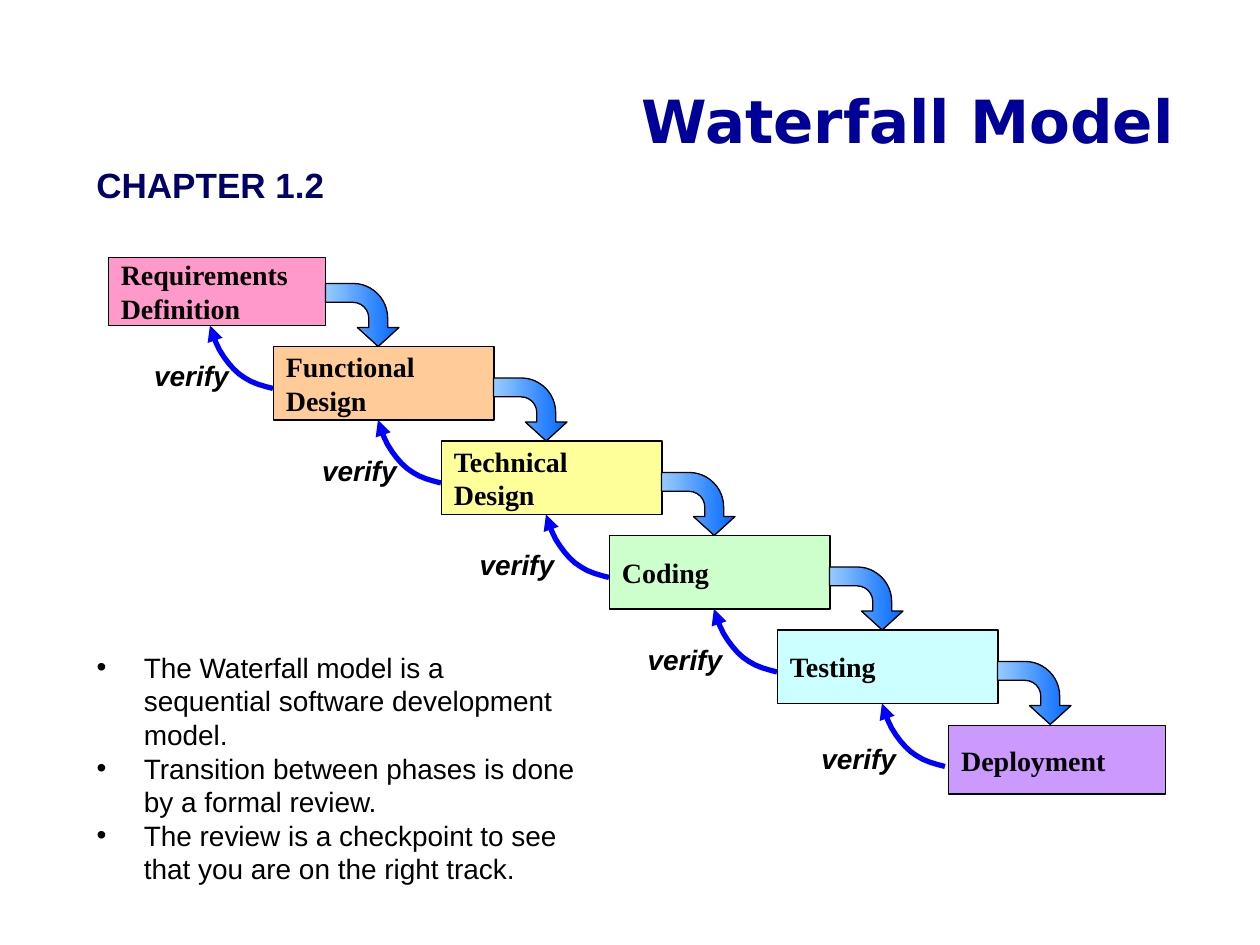
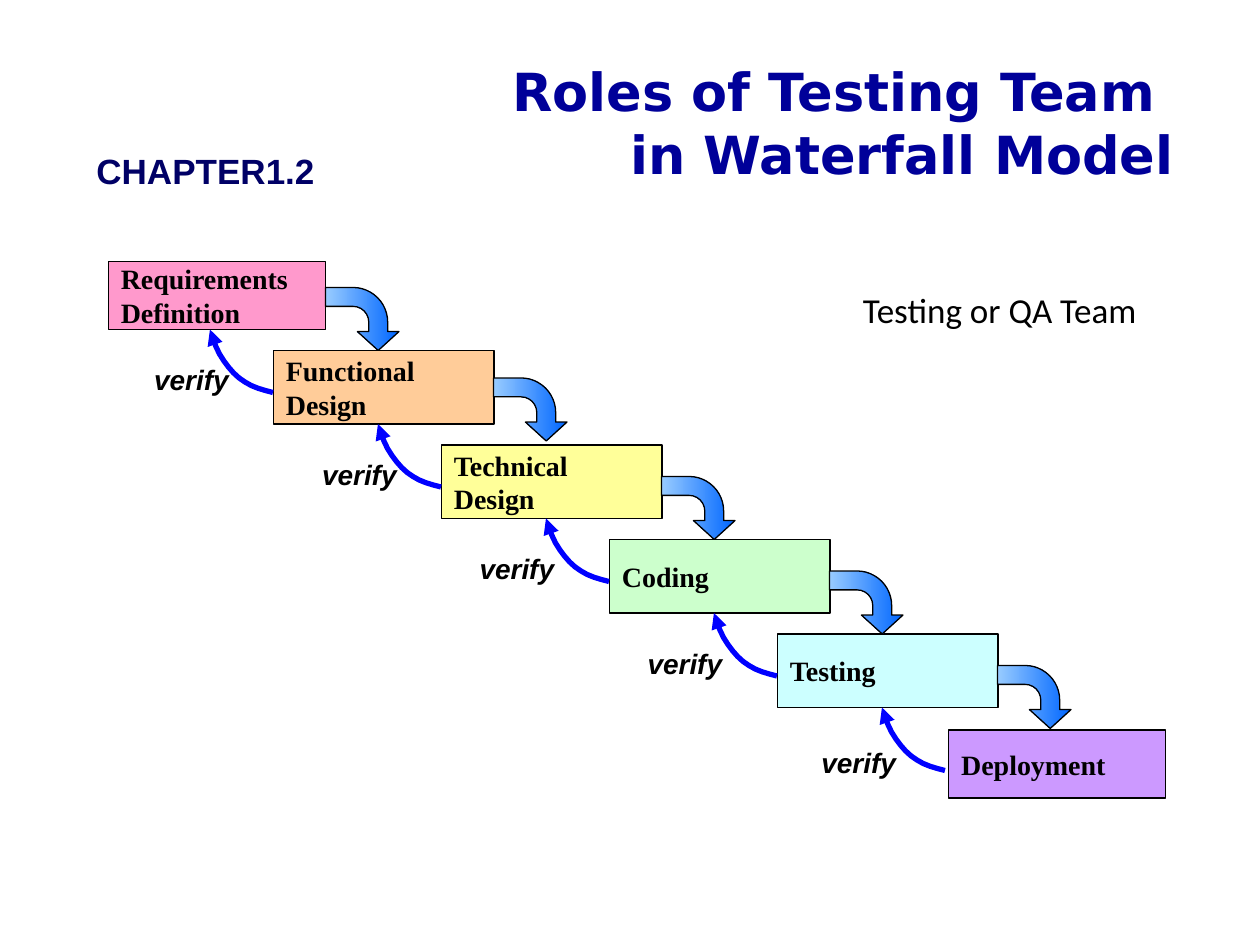
from pptx import Presentation
from pptx.dml.color import RGBColor
from pptx.enum import shapes, text
from pptx.oxml import ns
from pptx.util import Pt
from lxml import etree

BLACK = RGBColor(0x00, 0x00, 0x00)
TITLE_BLUE = RGBColor(0x00, 0x00, 0x99)
CHAPTER_BLUE = RGBColor(0x00, 0x00, 0x66)
VERIFY_BLUE = RGBColor(0x00, 0x00, 0xFF)
ARROW_DARK = RGBColor(0x00, 0x66, 0xFF)
ARROW_LIGHT = RGBColor(0x99, 0xCC, 0xFF)

STEP_X, STEP_Y = 96, 54
# name, fill, then left, top, width and height within the diagram
PHASES = [("Requirements Definition", RGBColor(0xFF, 0x99, 0xCC), 0, 0, 124, 39)]
PHASES += [
    (name, fill, 94.3 + STEP_X * i, 51 + STEP_Y * i, 126, 42)
    for i, (name, fill) in enumerate([
        ("Functional Design", RGBColor(0xFF, 0xCC, 0x99)),
        ("Technical Design", RGBColor(0xFF, 0xFF, 0x99)),
        ("Coding", RGBColor(0xCC, 0xFF, 0xCC)),
        ("Testing", RGBColor(0xCC, 0xFF, 0xFF)),
    ])
]
PHASES.append(("Deployment", RGBColor(0xCC, 0x99, 0xFF), 480.2, 267.8, 124, 39))
VERIFY_LABELS = [(19, 54.5), (115, 108.5), (205, 162.5), (301, 216.5), (400.3, 273)]

# Cubic Bézier pieces of the verify arc, from the later phase back to the earlier one
VERIFY_CURVE = [
    [(36, 36), (30.2, 34.6), (24.5, 33), (20, 30)],
    [(20, 30), (15.2, 27.2), (11.5, 23), (8, 18)],
    [(8, 18), (4.3, 13), (2, 6.5), (0, 0)],
]
WATERFALL_POINTS = [
    "The Waterfall model is a sequential software development model.",
    "Transition between phases is done by a formal review.",
    "The review is a checkpoint to see that you are on the right track.",
]


def place(shape, left, top, width, height):
    shape.left, shape.top = Pt(left), Pt(top)
    shape.width, shape.height = Pt(width), Pt(height)


def write(shape, content, size, font_name, color=BLACK, bold=False, italic=False,
          align=text.PP_ALIGN.LEFT, anchor=text.MSO_ANCHOR.TOP, wrap=True):
    """Fill a shape with text, one paragraph a line, and format all its runs."""
    frame = shape.text_frame
    frame.text = content
    frame.word_wrap = wrap
    frame.auto_size = text.MSO_AUTO_SIZE.NONE
    frame.vertical_anchor = anchor
    for paragraph in frame.paragraphs:
        paragraph.alignment = align
        paragraph.space_before = Pt(0)
        for run in paragraph.runs:
            font = run.font
            font.size, font.name = Pt(size), font_name
            font.bold, font.italic = bold, italic
            font.color.rgb = color


def add_label(slide, box, content, size, font_name, **style):
    label = slide.shapes.add_textbox(*(Pt(length) for length in box))
    write(label, content, size, font_name, **style)


def add_title(slide, box, content, size):
    title = slide.shapes.title
    place(title, *box)
    write(title, content, size, "DejaVu Sans", TITLE_BLUE, bold=True,
          align=text.PP_ALIGN.RIGHT)


def add_chapter(slide, box, content):
    add_label(slide, box, content, 20, "Arial", color=CHAPTER_BLUE, bold=True)


def outline(shape, color, width):
    shape.shadow.inherit = False
    shape.line.color.rgb = color
    shape.line.width = Pt(width)


def add_phase(slide, box, name, fill):
    phase = slide.shapes.add_shape(
        shapes.MSO_SHAPE.RECTANGLE, *(Pt(length) for length in box))
    phase.fill.solid()
    phase.fill.fore_color.rgb = fill
    outline(phase, BLACK, 0.75)
    write(phase, name, 16, "Times New Roman", bold=True, anchor=text.MSO_ANCHOR.MIDDLE)


def add_next_arrow(slide, left, top, width=42, height=36):
    """Draw a bent arrow that goes right and then down inside its box."""
    inset = (width - height) / 2
    arrow = slide.shapes.add_shape(
        shapes.MSO_SHAPE.BENT_ARROW,
        Pt(left + inset), Pt(top - inset), Pt(height), Pt(width))
    arrow.rotation = 90
    for i, value in enumerate((0.3, 0.33, 0.3, 0.55)):
        arrow.adjustments[i] = value
    arrow.fill.gradient()
    arrow.fill.gradient_angle = 270
    for stop, color in zip(arrow.fill.gradient_stops, (ARROW_DARK, ARROW_LIGHT)):
        stop.color.rgb = color
    outline(arrow, BLACK, 0.75)


def curve_point(controls, t):
    weights = ((1 - t) ** 3, 3 * t * (1 - t) ** 2, 3 * t ** 2 * (1 - t), t ** 3)
    return [sum(w * point[axis] for w, point in zip(weights, controls)) for axis in (0, 1)]


def add_verify_arc(slide, left, top, pieces=4):
    points = [VERIFY_CURVE[0][0]]
    points += [curve_point(controls, i / pieces)
               for controls in VERIFY_CURVE for i in range(1, pieces + 1)]
    points = [(Pt(left + x), Pt(top + y)) for x, y in points]
    builder = slide.shapes.build_freeform(*points[0])
    builder.add_line_segments(points[1:], close=False)
    arc = builder.convert_to_shape()
    arc.fill.background()
    outline(arc, VERIFY_BLUE, 3)
    line = arc.line._get_or_add_ln()
    etree.SubElement(line, ns.qn("a:tailEnd"), type="triangle")


def add_waterfall(slide, left, top, arrow_shifts=None):
    """Draw the phases and their links; arrow_shifts moves single arrows down."""
    arrow_shifts = arrow_shifts or {}
    for name, fill, x, y, width, height in PHASES:
        add_phase(slide, (left + x, top + y, width, height), name, fill)
    for i, (label_x, label_y) in enumerate(VERIFY_LABELS):
        x, y = left + STEP_X * i, top + STEP_Y * i
        add_verify_arc(slide, x + 58, y + 39)
        add_next_arrow(slide, x + 124, y + 15 + arrow_shifts.get(i, 0))
        add_label(slide, (left + label_x, top + label_y, 57.6, 26.6), "verify",
                  16, "Arial", bold=True, italic=True, wrap=False)


def build_model_slide(presentation):
    slide = presentation.slides.add_slide(presentation.slide_layouts[1])
    add_title(slide, (30, 44.6, 648, 75.6), "Waterfall Model", 34)
    add_chapter(slide, (48, 90, 150, 31.5), "CHAPTER 1.2")
    points = slide.placeholders[1]
    place(points, 48, 368, 288, 143)
    write(points, "\n".join(WATERFALL_POINTS), 16, "Arial")
    add_waterfall(slide, 62, 147)


def build_roles_slide(presentation):
    slide = presentation.slides.add_slide(presentation.slide_layouts[5])
    add_title(slide, (30, 30, 648, 72), "Roles of Testing Team \vin Waterfall Model", 30)
    add_chapter(slide, (48, 82, 162, 31), "CHAPTER1.2")
    add_waterfall(slide, 62, 149.3, arrow_shifts={1: -2.3})
    add_label(slide, (486, 144, 174, 66), "Testing or QA Team", 20, "Calibri",
              anchor=text.MSO_ANCHOR.MIDDLE, wrap=False)


def main():
    presentation = Presentation()
    presentation.slide_width, presentation.slide_height = Pt(720), Pt(540)
    build_model_slide(presentation)
    build_roles_slide(presentation)
    presentation.save("out.pptx")


if __name__ == "__main__":
    main()
